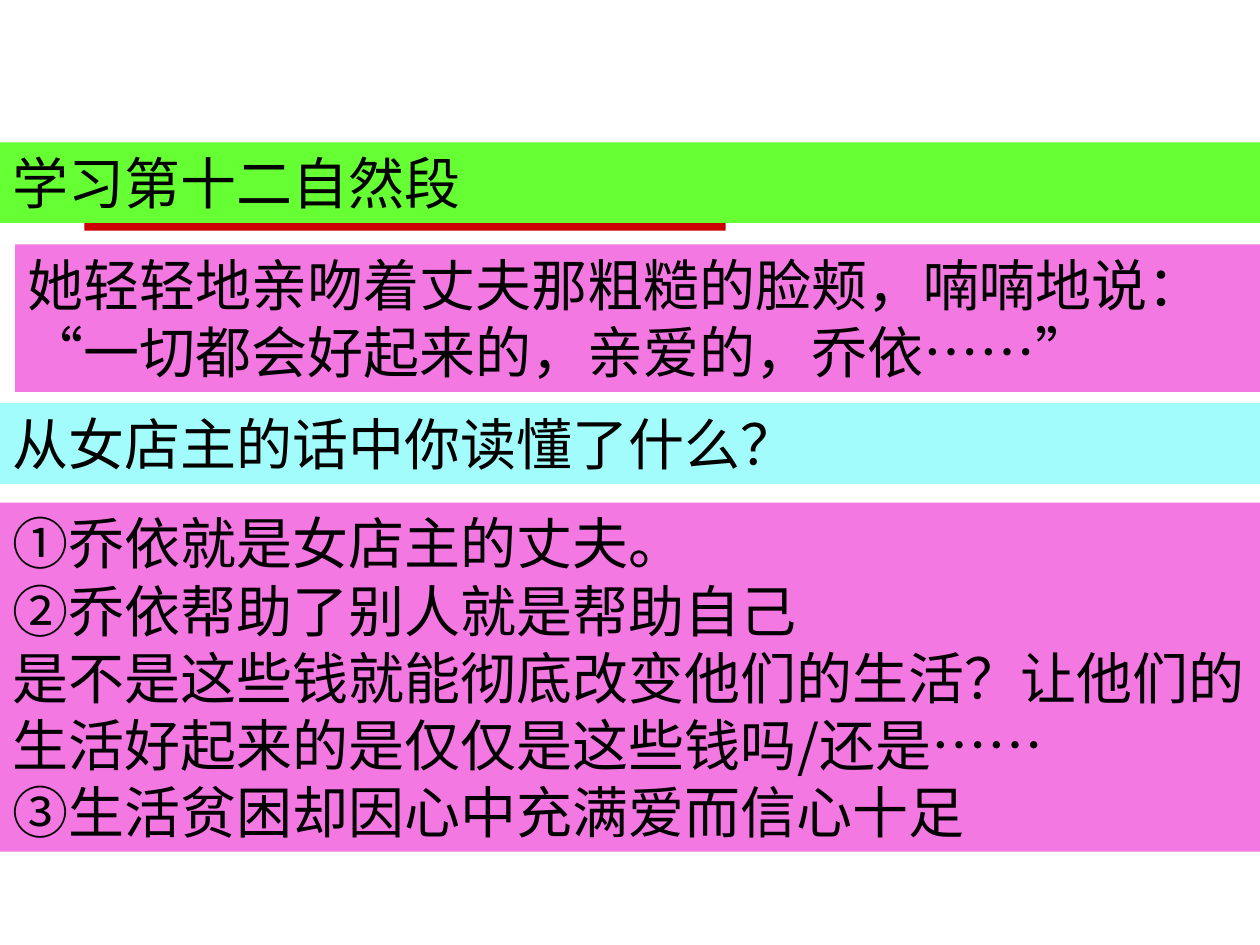
from dataclasses import dataclass

from lxml import etree
from pptx import Presentation
from pptx.dml.color import RGBColor
from pptx.enum.lang import MSO_LANGUAGE_ID
from pptx.enum.shapes import MSO_SHAPE
from pptx.enum.text import MSO_ANCHOR, PP_ALIGN
from pptx.oxml.ns import qn
from pptx.util import Inches, Pt

RECTANGLE = MSO_SHAPE.RECTANGLE
LEFT = PP_ALIGN.LEFT
TOP = MSO_ANCHOR.TOP
CHINESE = MSO_LANGUAGE_ID.SIMPLIFIED_CHINESE


@dataclass(frozen=True)
class Theme:
    """Colours, font and type size of the lesson slide."""
    text: RGBColor = RGBColor(0x00, 0x00, 0x00)
    accent: RGBColor = RGBColor(0xCC, 0x00, 0x00)
    heading: RGBColor = RGBColor(0x66, 0xFF, 0x33)
    passage: RGBColor = RGBColor(0xF4, 0x78, 0xE2)
    question: RGBColor = RGBColor(0xA2, 0xFC, 0xFC)
    font: str = "Noto Sans CJK SC"
    size: Pt = Pt(32)


THEME = Theme()

BANDS = [
    (0, 1.13, 0.64, THEME.heading, ["学习第十二自然段"]),
    (0.12, 1.94, 1.17, THEME.passage,
     ["她轻轻地亲吻着丈夫那粗糙的脸颊，喃喃地说：“一切都会好起来的，亲爱的，乔依……”"]),
    (0, 3.2, 0.64, THEME.question, ["从女店主的话中你读懂了什么？"]),
    (0, 3.99, 2.77, THEME.passage,
     ["①乔依就是女店主的丈夫。",
      "②乔依帮助了别人就是帮助自己",
      "是不是这些钱就能彻底改变他们的生活？让他们的生活好起来的是仅仅是这些钱吗/还是……",
      "③生活贫困却因心中充满爱而信心十足"]),
]


def add_block(page, left, top, width, height, color):
    """Place a plain filled rectangle and return it."""
    box = page.shapes.add_shape(
        RECTANGLE, Inches(left), Inches(top), Inches(width), Inches(height))
    box.shadow.inherit = False
    box.fill.solid()
    box.fill.fore_color.rgb = color
    box.line.fill.background()
    return box


def format_span(span):
    """Give a run the lesson font for both Latin and Chinese characters."""
    span.font.size = THEME.size
    span.font.color.rgb = THEME.text
    span.font.name = THEME.font
    span.font.language_id = CHINESE
    properties = span.font._element
    etree.SubElement(properties, qn("a:ea"), typeface=THEME.font)


def add_band(page, left, top, width, height, color, lines):
    """Place a coloured band with left-aligned paragraphs."""
    frame = add_block(page, left, top, width, height, color).text_frame
    frame.word_wrap = True
    frame.vertical_anchor = TOP
    frame.text = "\n".join(lines)
    for para in frame.paragraphs:
        para.alignment = LEFT
        for span in para.runs:
            format_span(span)


def main():
    """Build the lesson slide and save it."""
    deck = Presentation()
    deck.slide_width = Inches(10)
    deck.slide_height = Inches(7.5)
    page = deck.slides.add_slide(deck.slide_layouts[6])
    add_block(page, 0.67, 1.71, 5.09, 0.12, THEME.accent)
    for left, top, height, color, lines in BANDS:
        add_band(page, left, top, 10, height, color, lines)
    deck.save("out.pptx")


if __name__ == "__main__":
    main()
